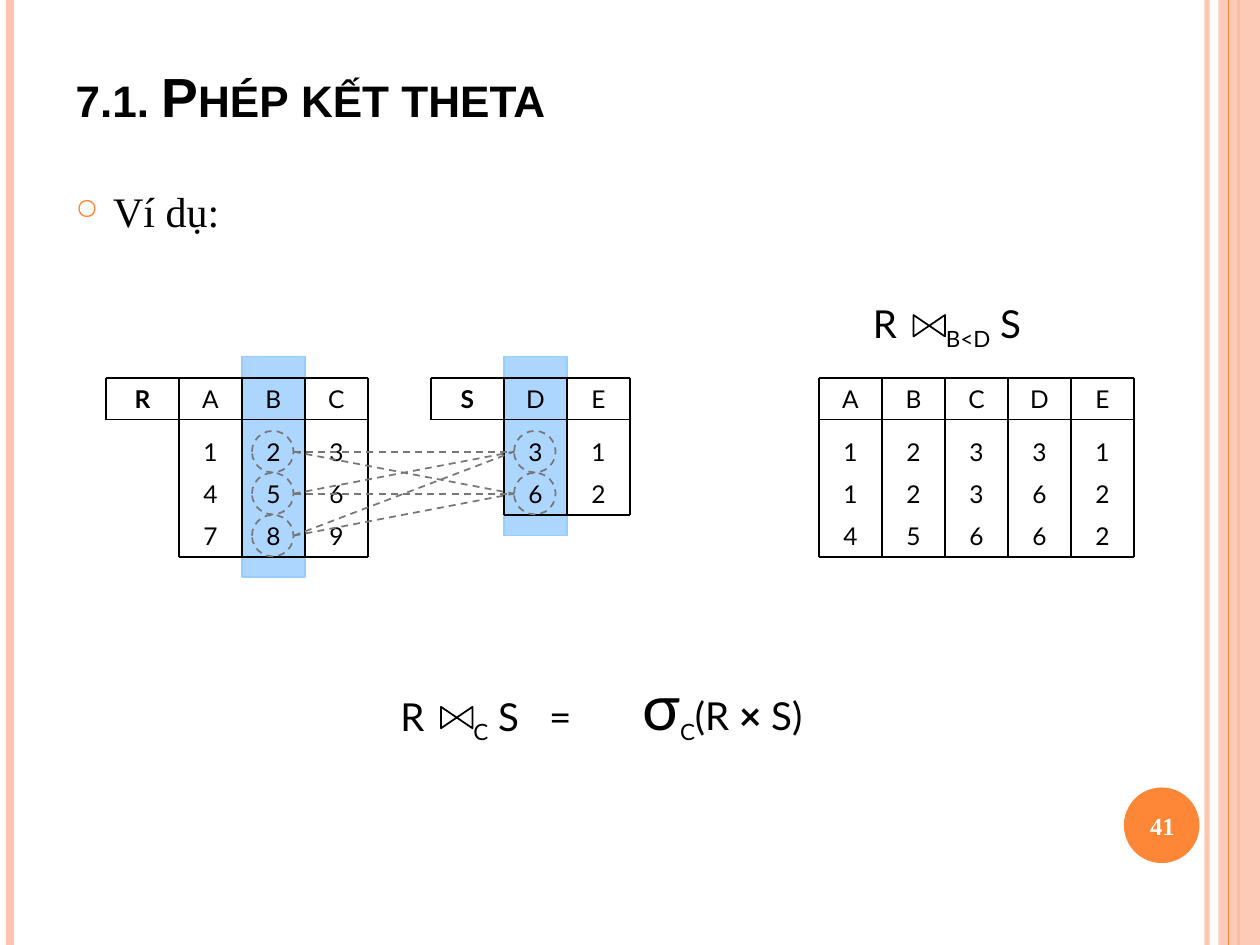
from itertools import product

from lxml import etree
from pptx import Presentation
from pptx import util as u
from pptx.dml.color import RGBColor
from pptx.enum import dml, shapes, text
from pptx.oxml import ns

BLACK, WHITE, GREY = "000000", "FFFFFF", "777777"
ORANGE, PEACH, BLUE = "FE8637", "FEC3AE", "99CCFF"
SUBSCRIPT = {"baseline": "-25000"}


def color(value):
    return RGBColor.from_string(value)


def add_xml(parent, tag, **attributes):
    return etree.SubElement(parent, ns.qn(tag), attributes)


def add_span(para, words, size=14, font="Lato", fill=BLACK, bold=False, marks=None):
    span = para.add_run()
    span.text = words
    span.font.size = u.Pt(size)
    span.font.name = font
    span.font.bold = bold
    span.font.color.rgb = color(fill)
    for name, value in (marks or {}).items():
        span._r.get_or_add_rPr().set(name, value)


class Painter:
    header_top, header_bottom = 3, 3.33
    body_top, row_height = 3.42, 1 / 3
    column_width, label_width = 0.5, 0.58
    circle = 0.33

    def __init__(self, page):
        self.page = page

    def paint(self, fill_format, fill, opacity):
        fill_format.solid()
        fill_format.fore_color.rgb = color(fill)
        if opacity < 100:
            node = next(fill_format._xPr.iter(ns.qn("a:srgbClr")))
            add_xml(node, "a:alpha", val=str(opacity * 1000))

    def line(self, start, end, stroke=BLACK, width=1, dashed=False, opacity=100):
        line = self.page.shapes.add_connector(
            shapes.MSO_CONNECTOR.STRAIGHT, *map(u.Inches, (*start, *end)))
        self.paint(line.line.fill, stroke, opacity)
        line.line.width = u.Pt(width)
        if dashed:
            line.line.dash_style = dml.MSO_LINE.DASH
        add_xml(line._element.spPr, "a:effectLst")

    def shape(self, kind, at, fill=None, stroke=None, dashed=False, opacity=100, turn=0):
        shape = self.page.shapes.add_shape(kind, *map(u.Inches, at))
        shape.shadow.inherit = False
        shape.rotation = turn
        if fill:
            self.paint(shape.fill, fill, opacity)
        else:
            shape.fill.background()
        if stroke:
            shape.line.color.rgb = color(stroke)
            shape.line.width = u.Pt(1)
            if dashed:
                shape.line.dash_style = dml.MSO_LINE.DASH
        else:
            shape.line.fill.background()

    def title(self, words, at):
        box = self.page.shapes.title
        box.left, box.top, box.width, box.height = map(u.Inches, at)
        box.text_frame.vertical_anchor = text.MSO_ANCHOR.BOTTOM
        para = box.text_frame.paragraphs[0]
        para.alignment = text.PP_ALIGN.LEFT
        add_span(para, words, 31.5, "Arial", bold=True, marks={"cap": "small"})

    def box(self, at, centered=False, middle=False, grow=True):
        box = self.page.shapes.add_textbox(*map(u.Inches, at))
        frame = box.text_frame
        frame.word_wrap = True
        if grow:
            frame.auto_size = text.MSO_AUTO_SIZE.SHAPE_TO_FIT_TEXT
        if middle:
            frame.vertical_anchor = text.MSO_ANCHOR.MIDDLE
        para = frame.paragraphs[0]
        para.alignment = text.PP_ALIGN.CENTER if centered else text.PP_ALIGN.LEFT
        return para

    def bullet(self, words, at):
        para = self.box(at, grow=False)
        properties = para._p.get_or_add_pPr()
        properties.set("marL", str(u.Inches(0.3)))
        properties.set("indent", str(-u.Inches(0.3)))
        add_xml(add_xml(properties, "a:buClr"), "a:srgbClr", val=ORANGE)
        add_xml(properties, "a:buSzPct", val="70000")
        add_xml(properties, "a:buChar", char="○")
        add_span(para, words, 24, "Times New Roman")

    def formula(self, at, spans, stops=()):
        para = self.box(at)
        if stops:
            tabs = add_xml(para._p.get_or_add_pPr(), "a:tabLst")
            for stop in stops:
                add_xml(tabs, "a:tab", pos=str(u.Inches(stop)), algn="l")
        for words, options in spans:
            add_span(para, words, **{"size": 22, **options})

    def join_sign(self, left, top):
        self.shape(shapes.MSO_SHAPE.FLOWCHART_COLLATE, (left, top, 0.17, 0.25),
                   stroke=BLACK, turn=270)

    def cell(self, words, left, top, width, bold=False):
        para = self.box((left, top, width, 0.33), centered=True)
        add_span(para, words, bold=bold)

    def relation(self, left, heads, rows, label=None):
        right = left + len(heads) * self.column_width
        bottom = self.body_top + len(rows) * self.row_height
        outer = left - self.label_width if label else left
        if label:
            self.cell(label, outer, self.header_top, self.label_width, bold=True)
            self.line((outer, self.header_top), (outer, self.header_bottom))
        tops = [self.header_top] + [
            self.body_top + i * self.row_height for i in range(len(rows))]
        for top, values in zip(tops, [heads, *rows]):
            for i, value in enumerate(values):
                self.cell(value, left + i * self.column_width, top, self.column_width)
        for y, start in ((self.header_top, outer), (self.header_bottom, outer), (bottom, left)):
            self.line((start, y), (right, y))
        for i in range(len(heads) + 1):
            x = left + i * self.column_width
            self.line((x, self.header_top), (x, bottom))

    def circles(self, left, count):
        tops = [self.body_top + i * self.row_height for i in range(count)]
        for top in tops:
            self.shape(shapes.MSO_SHAPE.OVAL, (left, top, self.circle, self.circle),
                       stroke=GREY, dashed=True)
        return [top + self.circle / 2 for top in tops]


def main():
    deck = Presentation()
    deck.slide_width, deck.slide_height = u.Inches(10), u.Inches(7.5)
    painter = Painter(deck.slides.add_slide(deck.slide_layouts[5]))
    rectangle, oval = shapes.MSO_SHAPE.RECTANGLE, shapes.MSO_SHAPE.OVAL

    for x, stroke, width, opacity in (
            (9.58, PEACH, 3, 93), (0.08, PEACH, 4.5, 100), (9.83, ORANGE, 1.5, 100)):
        painter.line((x, 0), (x, 7.5), stroke, width, opacity=opacity)
    painter.shape(rectangle, (9.67, 0, 0.33, 7.5), PEACH, opacity=87)
    painter.line((9.75, 0), (9.75, 7.5), ORANGE, 0.75)
    painter.shape(oval, (8.92, 6.25, 0.6, 0.6), ORANGE)

    for left, height in ((1.92, 1.75), (4, 1.42)):
        painter.shape(rectangle, (left, 2.83, 0.5, height), BLUE, BLUE, opacity=80)

    painter.title("7.1. Phép kết theta", (0.5, 0.39, 9.33, 0.68))
    painter.bullet("Ví dụ:", (0.5, 1.42, 9, 5.29))

    painter.relation(4, "DE", ["31", "62"], "S")
    painter.relation(1.42, "ABC", ["123", "456", "789"], "R")
    painter.relation(6.5, "ABCDE", ["12331", "12362", "45662"])

    painter.formula((6.83, 2.33, 1.67, 0.47),
                    [("R\t", {}), ("B<D", {"marks": SUBSCRIPT}), (" S", {})], [0.58])
    painter.join_sign(7.29, 2.46)
    painter.formula((3.08, 5.45, 2.17, 0.47),
                    [("R\t", {}), ("C", {"marks": SUBSCRIPT}), (" S\t=", {})], [0.58, 1.18])
    painter.join_sign(3.54, 5.57)
    painter.formula((5, 5.25, 1.92, 0.7),
                    [("σ", {"size": 36}), ("C", {"marks": SUBSCRIPT}),
                     ("(R ", {}), ("×", {"bold": True}), (" S)", {})])

    b_values = painter.circles(2, 3)
    d_values = painter.circles(4.08, 2)
    for start, end in product(b_values, d_values):
        painter.line((2.33, start), (4.08, end), GREY, dashed=True)

    number = painter.box((8.89, 6.27, 0.67, 0.57), centered=True, middle=True, grow=False)
    add_span(number, "41", 14, "Times New Roman", WHITE, bold=True)

    deck.save("out.pptx")


if __name__ == "__main__":
    main()
